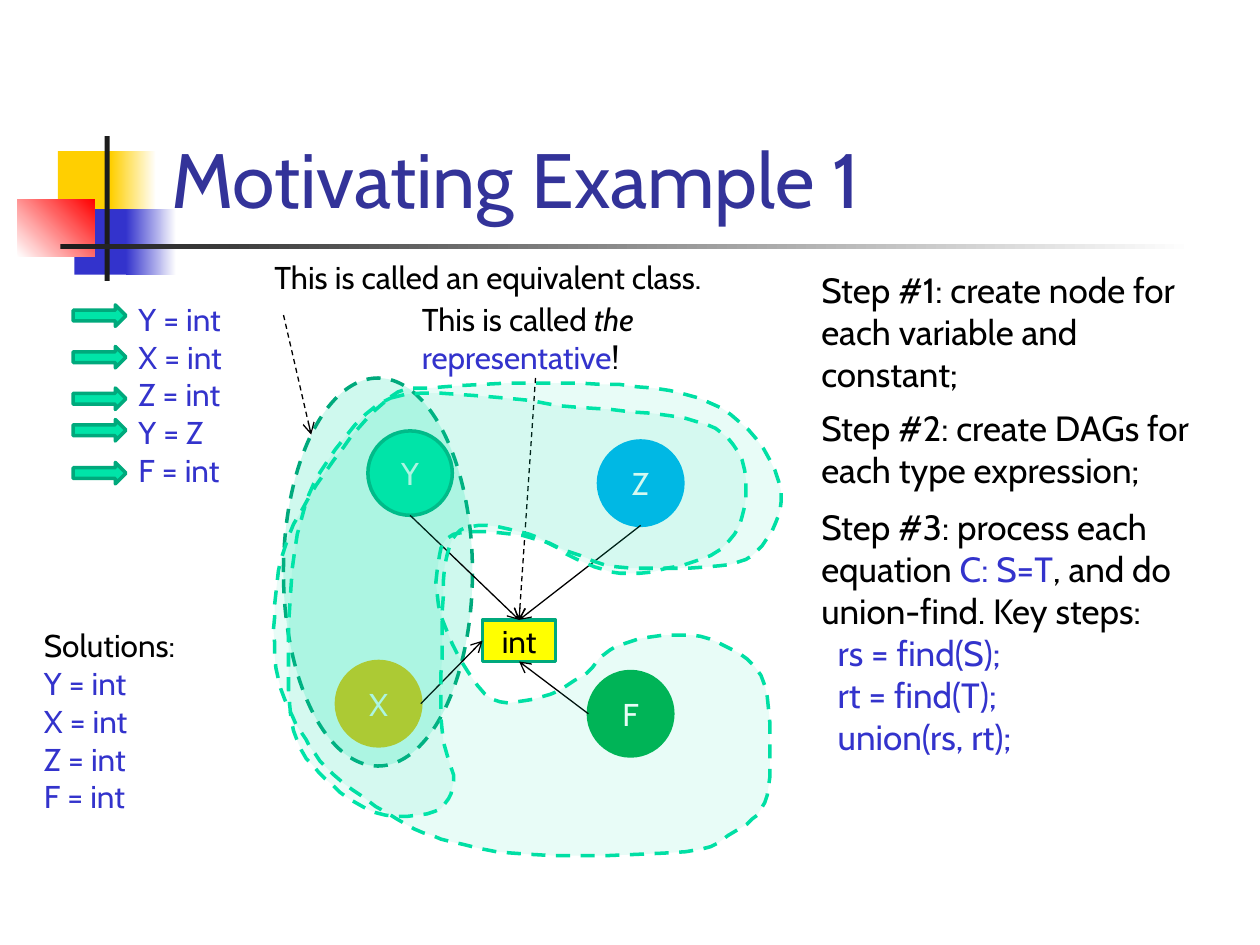
from pptx import Presentation, util as u
from pptx.dml.color import RGBColor
from pptx.enum import dml, shapes as s, text as t
from pptx.util import Inches as I
from lxml import etree

BLUE, BLACK, WHITE = "3333CC", "000000", "FFFFFF"
MINT, DEEP = "00E4A8", "00A97C"
GOLD, RED, INK = "FFCF01", "FF0000", "1C1C1C"
NS = "{http://schemas.openxmlformats.org/drawingml/2006/main}"
KIND = s.MSO_SHAPE
TOP, LEFT, BOTTOM = 0, 1, 2     # connection sites of a rectangle
NODE = 0.67                     # diameter of a node

# Turning points of each merged class, in inches from the graph's corner
YXZ_CLASS = {
    "top edge": [(0.93, 0.16), (1.73, 0.15), (2.38, 0.23), (3.27, 0.32)],
    "around Z": [(3.65, 0.53), (3.75, 0.95), (3.55, 1.36), (2.91, 1.55)],
    "under arm": [(2.48, 1.47), (2.03, 1.24), (1.57, 1.18), (1.38, 1.4)],
    "around X": [(1.34, 2.1), (1.34, 2.8), (1.43, 3.2), (1.28, 3.44), (0.81, 3.45)],
    "left edge": [(0.41, 3.18), (0.16, 2.8), (0.12, 2.1), (0.19, 1.24), (0.43, 0.66)],
}
FULL_CLASS = {
    "top edge": [(0.93, 0.15), (1.35, 0.07), (2.43, 0.04), (3.27, 0.13)],
    "around Z": [(3.77, 0.41), (4.03, 0.9), (3.88, 1.33), (3.54, 1.49), (2.74, 1.5)],
    "under arm": [(2.38, 1.39), (1.98, 1.25), (1.48, 1.23), (1.32, 1.4)],
    "around int": [(1.33, 1.89), (1.68, 2.51), (2.06, 2.55), (2.45, 2.37)],
    "around F": [(2.67, 2.16), (3.03, 2.05), (3.46, 2.07), (3.87, 2.36), (3.94, 2.92),
                 (3.9, 3.37), (3.66, 3.6), (3.27, 3.76)],
    "foot": [(2.03, 3.78), (1.41, 3.68), (0.98, 3.5)],
    "left edge": [(0.48, 3.15), (0.22, 2.81), (0.04, 2.39), (0.01, 1.8), (0.12, 1.26),
                  (0.48, 0.65)],
}


def tint(hue):
    return RGBColor.from_string(hue)


def stroke(line, hue, width, dash=False):
    line.color.rgb = tint(hue)
    line.width = u.Pt(width)
    if dash:
        line.dash_style = dml.MSO_LINE.DASH


def paint(shp, fill, edge=None, clear=None, dash=False):
    """Fill and outline; clear is the opacity in percent."""
    shp.shadow.inherit = False
    shp.fill.solid()
    shp.fill.fore_color.rgb = tint(fill)
    if clear:
        hue = shp.fill._xPr.find(f".//{NS}srgbClr")
        etree.SubElement(hue, NS + "alpha", val=str(clear * 1000))
    if edge:
        stroke(shp.line, edge, 2, dash)
    else:
        shp.line.fill.background()


def shape(sl, kind, x, y, w, h, fill, edge=None, **look):
    shp = sl.shapes.add_shape(kind, I(x), I(y), I(w), I(h))
    paint(shp, fill, edge, **look)
    return shp


def fade(sl, x, y, w, h, first, last, angle=0):
    shp = shape(sl, KIND.RECTANGLE, x, y, w, h, first)
    shp.fill.gradient()
    shp.fill.gradient_angle = angle
    for stop, hue in zip(shp.fill.gradient_stops, (first, last)):
        stop.color.rgb = tint(hue)


def add_run(para, words, hue, size=18, slant=False):
    run = para.add_run()
    run.text = words
    font = run.font
    font.name, font.size, font.italic = "Cabin", u.Pt(size), slant
    font.color.rgb = tint(hue)


def block(sl, x, y, w, h, paras, size=18, anchor=t.MSO_ANCHOR.TOP):
    """Each paragraph is a list of runs: (words, colour[, italic])."""
    frame = sl.shapes.add_textbox(I(x), I(y), I(w), I(h)).text_frame
    frame.word_wrap, frame.vertical_anchor = True, anchor
    for i, runs in enumerate(paras):
        para = frame.add_paragraph() if i else frame.paragraphs[0]
        for words, hue, *slant in runs:
            add_run(para, words, hue, size, bool(slant))
    return frame


def label(shp, words, hue):
    frame = shp.text_frame
    frame.margin_left = frame.margin_right = 0
    frame.vertical_anchor = t.MSO_ANCHOR.MIDDLE
    para = frame.paragraphs[0]
    para.alignment = t.PP_ALIGN.CENTER
    add_run(para, words, hue)


def arrow(sl, start, end, goal=None, side=TOP, dash=False):
    ends = [I(v) for v in (*start, *end)]
    con = sl.shapes.add_connector(s.MSO_CONNECTOR.STRAIGHT, *ends)
    if goal is not None:
        con.end_connect(goal, side)
    stroke(con.line, BLACK, 0.75, dash)
    etree.SubElement(con.line._get_or_add_ln(), NS + "tailEnd", type="arrow")
    etree.SubElement(con._element.spPr, NS + "effectLst")


def curve(knots, steps=6):
    """Closed Catmull-Rom spline through the knots."""
    def blend(a, b, c, d, f):
        return (2 * b + (c - a) * f + (2 * a - 5 * b + 4 * c - d) * f ** 2
                + (3 * b - a - 3 * c + d) * f ** 3) / 2

    count = len(knots)
    for i in range(count):
        near = [knots[(i + k) % count] for k in (-1, 0, 1, 2)]
        for step in range(steps):
            yield tuple(blend(*axis, step / steps) for axis in zip(*near))


def blob(sl, x, y, parts, clear, edge):
    """Dashed, see-through outline round a class."""
    knots = [knot for part in parts.values() for knot in part]
    pts = [((x + px) * 100, (y + py) * 100) for px, py in curve(knots)]
    pen = sl.shapes.build_freeform(*pts[0], scale=I(0.01))
    pen.add_line_segments(pts[1:], close=True)
    paint(pen.convert_to_shape(), MINT, edge, clear=clear, dash=True)


def header(sl, x, y):
    """Coloured squares, cross lines and title."""
    for dx, dy, solid, soft, hue in ((0.32, 0.12, 0.42, 0.36, GOLD),
                                     (0.45, 0.58, 0.41, 0.4, BLUE)):
        shape(sl, KIND.RECTANGLE, x + dx, y + dy, solid + 0.05, 0.52, hue)
        fade(sl, x + dx + solid, y + dy, soft, 0.52, hue, WHITE)
    fade(sl, x, y + 0.5, 0.61, 0.46, WHITE, RED, 45)
    shape(sl, KIND.RECTANGLE, x + 0.69, y, 0.04, 1.15, INK)
    fade(sl, x + 0.34, y + 0.86, 9, 0.04, INK, WHITE)
    block(sl, x + 1.12, y - 0.85, 8.52, 1.6, [[("Motivating Example 1", "333399")]],
          44, t.MSO_ANCHOR.BOTTOM)


def rules(sl, x, y):
    """Equations, each with its arrow at the given drop."""
    drops = {"Y = int": 0.09, "X = int": 0.42, "Z = int": 0.75,
             "Y = Z": 1, "F = int": 1.34}
    block(sl, x + 0.42, y, 1.33, 1.62, [[(name, BLUE)] for name in drops])
    for drop in drops.values():
        shape(sl, KIND.RIGHT_ARROW, x, y + drop, 0.42, 0.17, MINT, DEEP)


def answers(sl, x, y):
    """Solved type of each variable."""
    block(sl, x, y, 1.33, 1.62, [[("Solutions:", BLACK)]] +
          [[(f"{name} = int", BLUE)] for name in "YXZF"])


def graph(sl, x, y):
    """Nodes, classes, notes and arrows."""
    # Node: place, fill, edge, start of its arrow (share of the node), goal side
    nodes = {
        "Y": (0.75, 0.42, MINT, DEEP, (0.5, 1), TOP),
        "X": (0.5, 2.25, "FFC000", "FFC000", (1, 0.5), LEFT),
        "Z": (2.58, 0.5, "00B0F0", "00B0F0", (0.5, 1), TOP),
        "F": (2.5, 2.33, "00B050", "00B050", (0, 0.5), BOTTOM),
    }
    for name, (dx, dy, fill, edge, *_) in nodes.items():
        label(shape(sl, KIND.OVAL, x + dx, y + dy, NODE, NODE, fill, edge), name, WHITE)

    # First class and its representative
    shape(sl, KIND.OVAL, x + 0.08, y, 1.5, 3.08, MINT, DEEP, clear=19, dash=True)
    rx, ry, rw, rh = x + 1.66, y + 1.92, 0.58, 0.33
    root = shape(sl, KIND.RECTANGLE, rx, ry, rw, rh, "FFFF00", DEEP)
    label(root, "int", BLACK)
    sides = {TOP: (rx + rw / 2, ry), LEFT: (rx, ry + rh / 2),
             BOTTOM: (rx + rw / 2, ry + rh)}
    for dx, dy, _, _, (across, down), side in nodes.values():
        start = x + dx + across * NODE, y + dy + down * NODE
        arrow(sl, start, sides[side], root, side)

    # Notes and their pointers
    block(sl, x - 0.09, y - 1, 4.17, 0.4, [[("This is called an equivalent class.", BLACK)]])
    arrow(sl, (x + 0.08, y - 0.5), (x + 0.3, y + 0.45), dash=True)
    block(sl, x + 1.08, y - 0.67, 2.83, 0.71, [[
        ("This is called ", BLACK), ("the ", BLACK, True),
        ("representative", BLUE), ("!", BLACK)]])
    arrow(sl, (x + 2.08, y), sides[TOP], root, TOP, dash=True)

    # Merged classes
    blob(sl, x, y, YXZ_CLASS, 8, MINT)
    blob(sl, x, y, FULL_CLASS, 9, "00DFA4")


def steps(sl, x, y, w):
    """Three steps; the calls of the last are indented."""
    calls = ["rs = find(S);", "rt = find(T);", "union(rs, rt);"]
    texts = [
        (0, 1.11, [[("Step #1: create node for each variable and constant;", BLACK)]]),
        (1.1, 0.77, [[("Step #2: create DAGs for each type expression;", BLACK)]]),
        (1.88, 2.12, [[("Step #3: process each equation ", BLACK), ("C: S=T", BLUE),
                       (", and do union-find. Key steps:", BLACK)]]
         + [[(call, BLUE)] for call in calls]),
    ]
    for drop, h, paras in texts:
        frame = block(sl, x, y + drop, w, h, paras, 20)
        for para in frame.paragraphs[1:]:
            para._p.get_or_add_pPr().set("marL", str(I(0.13)))


def main():
    prs = Presentation()
    prs.slide_width, prs.slide_height = I(10), I(7.5)
    sl = prs.slides.add_slide(prs.slide_layouts[6])
    header(sl, 0.14, 1.08)
    rules(sl, 0.58, 2.33)
    graph(sl, 2.17, 3)
    answers(sl, 0.25, 4.92)
    steps(sl, 6.42, 2.08, 3.33)
    prs.save("out.pptx")


if __name__ == "__main__":
    main()
